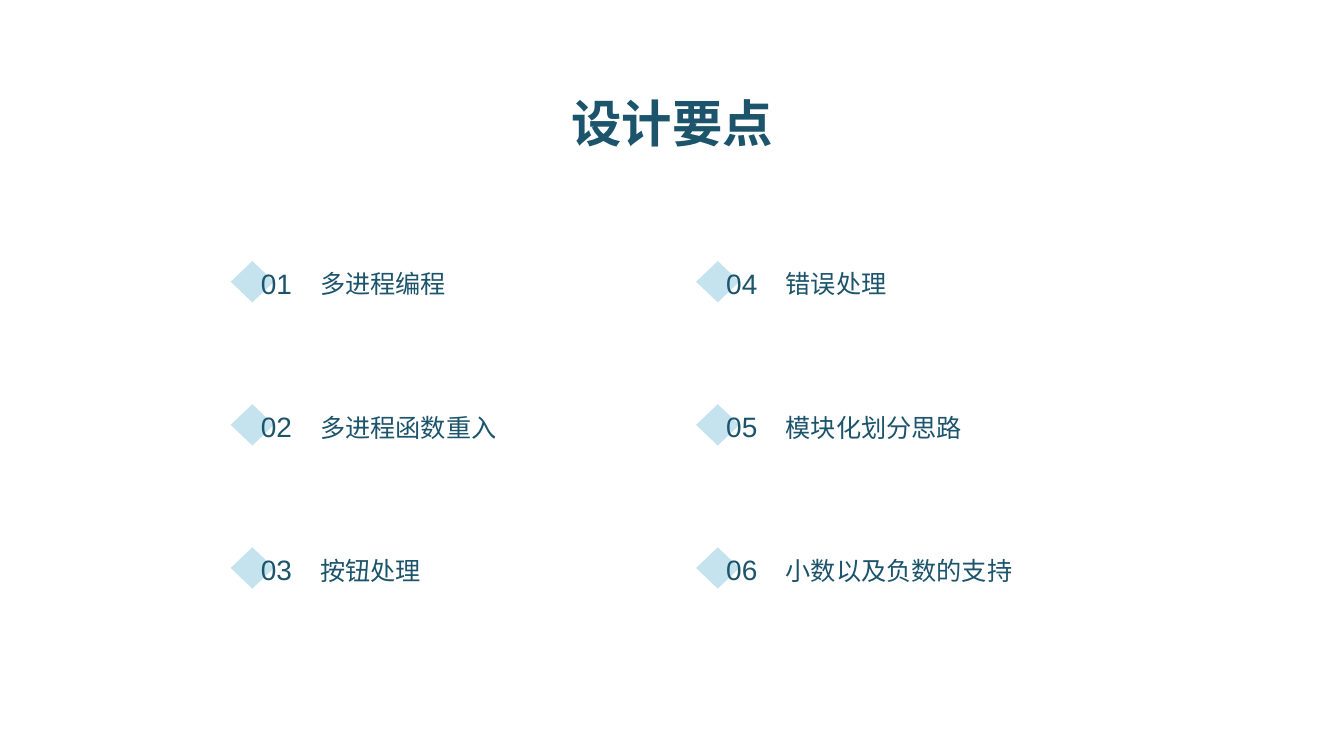
from dataclasses import dataclass

from pptx import Presentation
from pptx import util as u
from pptx.dml import color
from pptx.enum import shapes, text


@dataclass(frozen=True)
class Theme:
    font: str = "Arial"
    background: str = "FFFFFF"
    ink: str = "1C546B"
    accent: str = "C4E3EF"
    title_size: int = 36
    number_size: int = 20
    topic_size: int = 18


class SlideBuilder:
    def __init__(self, slide, theme):
        self.slide = slide
        self.theme = theme
        backdrop = slide.background.fill
        backdrop.solid()
        backdrop.fore_color.rgb = color.RGBColor.from_string(theme.background)

    def label(self, words, box, *, size, parent=None, bold=False,
              align=text.PP_ALIGN.LEFT, anchor=text.MSO_ANCHOR.MIDDLE):
        target = (parent or self.slide).shapes
        frame = target.add_textbox(*map(u.Inches, box)).text_frame
        frame.word_wrap = True
        frame.vertical_anchor = anchor
        paragraph = frame.paragraphs[0]
        paragraph.alignment = align
        run = paragraph.add_run()
        run.text = words
        run.font.name = self.theme.font
        run.font.size = u.Pt(size)
        run.font.bold = bold
        run.font.color.rgb = color.RGBColor.from_string(self.theme.ink)

    def diamond(self, box, parent):
        marker = parent.shapes.add_shape(
            shapes.MSO_SHAPE.DIAMOND, *map(u.Inches, box))
        marker.shadow.inherit = False
        marker.fill.solid()
        marker.fill.fore_color.rgb = color.RGBColor.from_string(self.theme.accent)
        marker.line.fill.background()

    def title(self, words):
        self.label(words, (5.48, 0.86, 2.38, 0.71), size=self.theme.title_size,
                   bold=True, align=text.PP_ALIGN.CENTER,
                   anchor=text.MSO_ANCHOR.TOP)

    def topic(self, number, words, left, top):
        entry = self.slide.shapes.add_group_shape()
        self.diamond((left, top, 0.43, 0.41), entry)
        self.label(f"{number:02d}", (left + 0.2, top - 0.03, 0.6, 0.5),
                   size=self.theme.number_size, parent=entry)
        self.label(words, (left + 0.79, top - 0.02, 3.57, 0.49),
                   size=self.theme.topic_size, parent=entry)


TOPICS = ["多进程编程", "多进程函数重入", "按钮处理",
          "错误处理", "模块化划分思路", "小数以及负数的支持"]
ROWS = 3
FIRST_LEFT, FIRST_TOP = 2.29, 2.59
COLUMN_STEP, ROW_STEP = 4.62, 1.42


def main():
    deck = Presentation()
    deck.slide_width = u.Inches(13.34)
    deck.slide_height = u.Inches(7.5)
    builder = SlideBuilder(deck.slides.add_slide(deck.slide_layouts[6]), Theme())
    builder.title("设计要点")
    for index, topic in enumerate(TOPICS):
        column, row = divmod(index, ROWS)
        builder.topic(index + 1, topic, FIRST_LEFT + column * COLUMN_STEP,
                      FIRST_TOP + row * ROW_STEP)
    deck.save("out.pptx")


if __name__ == "__main__":
    main()
